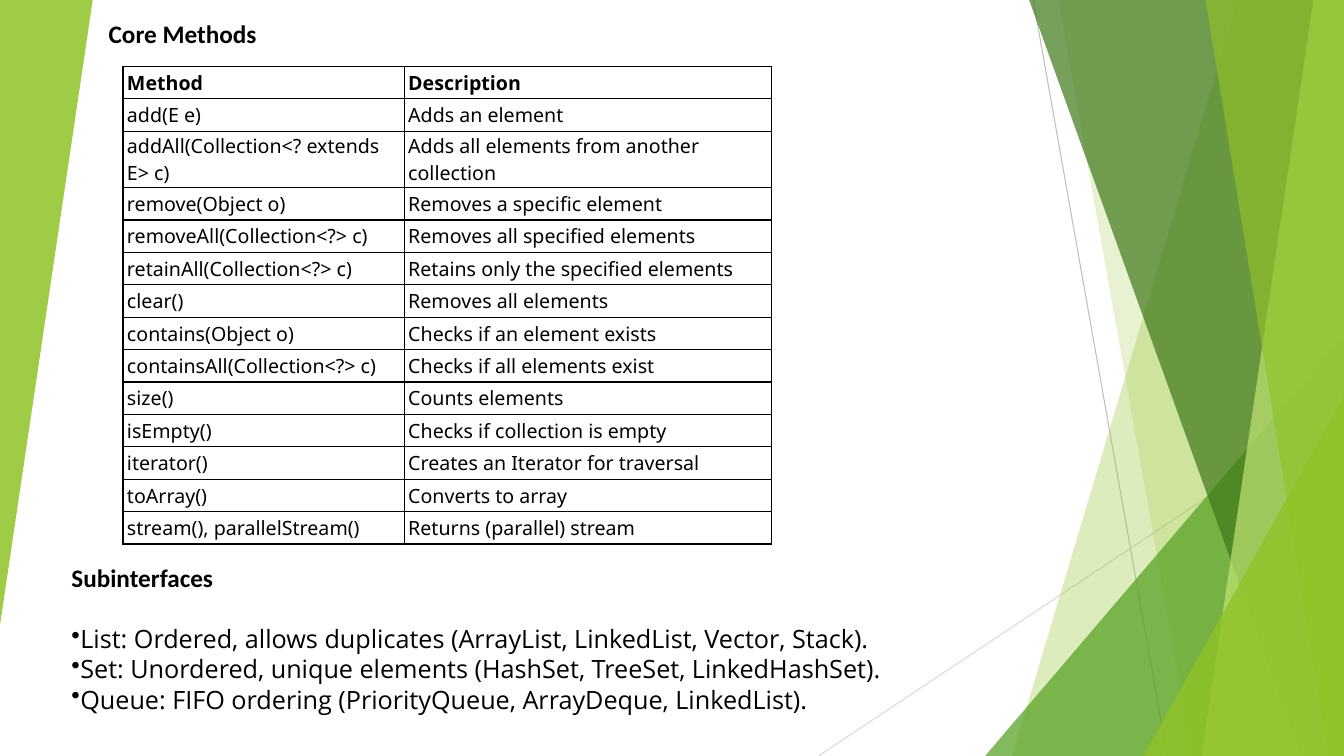
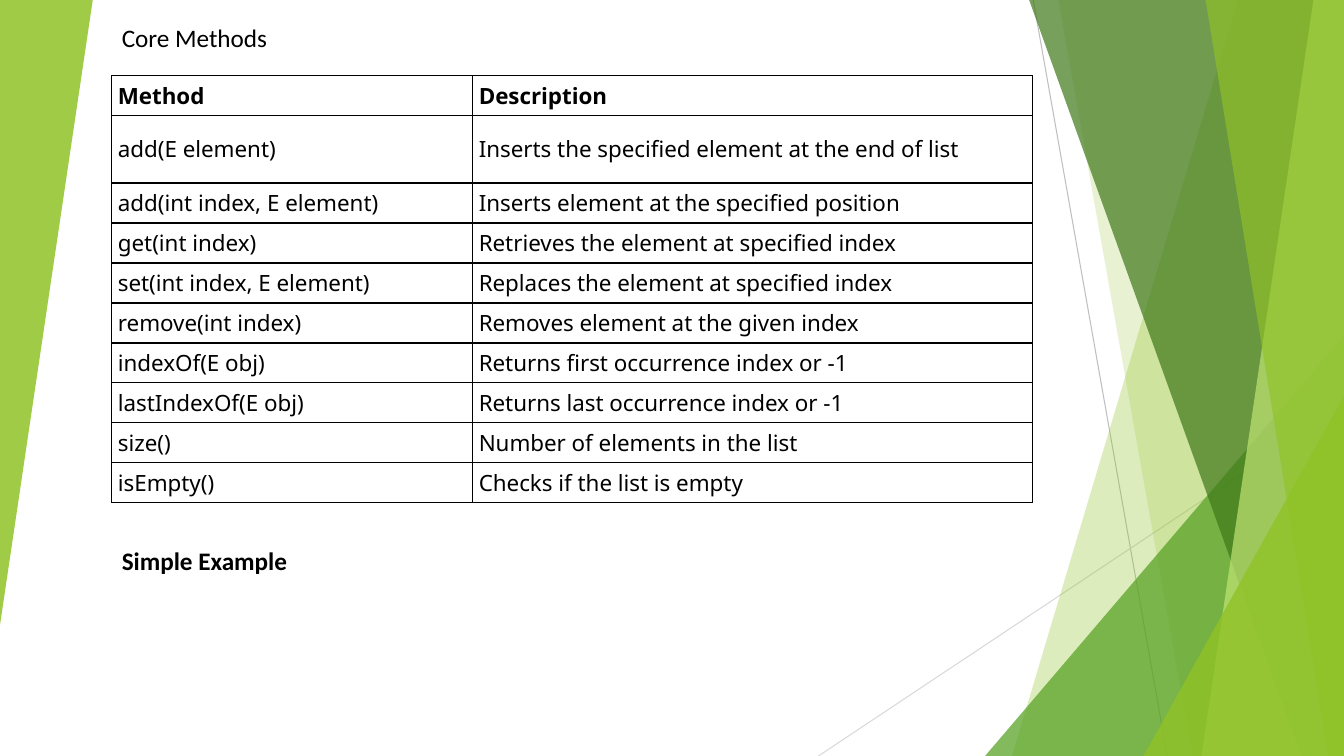
from lxml import etree
from pptx import Presentation
from pptx.dml.color import RGBColor
from pptx.enum.shapes import MSO_CONNECTOR, MSO_SHAPE
from pptx.enum.text import MSO_ANCHOR
from pptx.oxml.ns import qn
from pptx.util import Inches, Pt

STRAIGHT = MSO_CONNECTOR.STRAIGHT
TRIANGLE = MSO_SHAPE.ISOSCELES_TRIANGLE
MIDDLE = MSO_ANCHOR.MIDDLE

BLACK = RGBColor(0x00, 0x00, 0x00)
SILVER = RGBColor(0xBF, 0xBF, 0xBF)
PALE_GREY = RGBColor(0xD9, 0xD9, 0xD9)
LIME = RGBColor(0x90, 0xC2, 0x26)
LEAF = RGBColor(0x54, 0xA0, 0x21)
FOREST = RGBColor(0x3F, 0x78, 0x19)
MINT = RGBColor(0xC0, 0xE4, 0x74)

# Grid: every column and row is a tenth of an inch
UNIT = Inches(0.1)
COLUMNS, ROWS = 133.33, 75

HEADING = {"name": "Calibri", "size": Pt(18), "bold": True}
PLAIN_HEADING = {**HEADING, "bold": False}
BULLET = {"name": "Open Sans", "size": Pt(18), "bold": False}
BULLET_SPACING = {"line_spacing": Pt(21.6)}
HEADING_GAP = {"space_after": Pt(22)}

COLLECTION_METHODS = [
    ("Method", "Description"),
    ("add(E e)", "Adds an element"),
    ("addAll(Collection<? extends E> c)", "Adds all elements from another collection"),
    ("remove(Object o)", "Removes a specific element"),
    ("removeAll(Collection<?> c)", "Removes all specified elements"),
    ("retainAll(Collection<?> c)", "Retains only the specified elements"),
    ("clear()", "Removes all elements"),
    ("contains(Object o)", "Checks if an element exists"),
    ("containsAll(Collection<?> c)", "Checks if all elements exist"),
    ("size()", "Counts elements"),
    ("isEmpty()", "Checks if collection is empty"),
    ("iterator()", "Creates an Iterator for traversal"),
    ("toArray()", "Converts to array"),
    ("stream(), parallelStream()", "Returns (parallel) stream"),
]
SUBINTERFACES = [
    "List: Ordered, allows duplicates (ArrayList, LinkedList, Vector, Stack).",
    "Set: Unordered, unique elements (HashSet, TreeSet, LinkedHashSet).",
    "Queue: FIFO ordering (PriorityQueue, ArrayDeque, LinkedList).",
]
LIST_METHODS = [
    ("Method", "Description"),
    ("add(E element)", "Inserts the specified element at the end of list"),
    ("add(int index, E element)", "Inserts element at the specified position"),
    ("get(int index)", "Retrieves the element at specified index"),
    ("set(int index, E element)", "Replaces the element at specified index"),
    ("remove(int index)", "Removes element at the given index"),
    ("indexOf(E obj)", "Returns first occurrence index or -1"),
    ("lastIndexOf(E obj)", "Returns last occurrence index or -1"),
    ("size()", "Number of elements in the list"),
    ("isEmpty()", "Checks if the list is empty"),
]


def grid(*lengths):
    return [round(length * UNIT) for length in lengths]


def apply(target, formats):
    for attribute, value in formats.items():
        setattr(target, attribute, value)


# Backdrop parts
def paint(shape, colour, opacity):
    shape.shadow.inherit = False
    shape.line.fill.background()
    shape.fill.solid()
    shape.fill.fore_color.rgb = colour
    tint = shape.element.spPr.find(".//" + qn("a:srgbClr"))
    etree.SubElement(tint, qn("a:alpha")).set("val", str(opacity * 1000))


def add_ray(slide, start, end, colour):
    ray = slide.shapes.add_connector(STRAIGHT, *grid(*start, *end))
    ray.line.color.rgb = colour
    ray.line.width = Pt(0.75)
    etree.SubElement(ray.element.spPr, qn("a:effectLst"))


def add_band(slide, top_edge, bottom_edge, colour, opacity):
    """Full-height band from a slanted left edge to the right side."""
    outline = slide.shapes.build_freeform(*grid(top_edge, 0))
    corners = [(COLUMNS, 0), (COLUMNS, ROWS), (bottom_edge, ROWS)]
    outline.add_line_segments([grid(*corner) for corner in corners], close=True)
    paint(outline.convert_to_shape(), colour, opacity)


def add_wedge(slide, box, colour, opacity, rotation=0):
    wedge = slide.shapes.add_shape(TRIANGLE, *grid(*box))
    wedge.adjustments[0] = 1
    wedge.rotation = rotation
    paint(wedge, colour, opacity)


def add_corner_wedge(slide, width, height, colour, opacity):
    box = (COLUMNS - width, ROWS - height, width, height)
    add_wedge(slide, box, colour, opacity)


def add_backdrop(slide):
    add_ray(slide, (102.5, 0), (115.8, ROWS), SILVER)
    add_ray(slide, (COLUMNS, 40.3), (81.2, ROWS), PALE_GREY)
    add_band(slide, 122.8, 100.4, LIME, 30)
    add_band(slide, 105, 118.3, LIME, 20)
    add_corner_wedge(slide, 35.6, 41.7, LEAF, 72)
    add_band(slide, 102.1, 129.1, FOREST, 70)
    add_band(slide, 130.3, 119.2, MINT, 70)
    add_band(slide, 119.6, 131.8, LIME, 65)
    add_corner_wedge(slide, 19.9, 35.7, LIME, 80)
    add_wedge(slide, (0, 0, 9.2, 62), LIME, 85, rotation=180)


# Text
def write(paragraph, text, font, spacing=None):
    run = paragraph.add_run()
    run.text = text
    apply(run.font, font)
    run.font.color.rgb = BLACK
    apply(paragraph, spacing or {})


def add_text(slide, box, heading, font=HEADING, bullets=()):
    frame = slide.shapes.add_textbox(*grid(*box)).text_frame
    frame.word_wrap = True
    write(frame.paragraphs[0], heading, font, HEADING_GAP if bullets else None)
    for bullet in bullets:
        paragraph = frame.add_paragraph()
        write(paragraph, bullet, BULLET, BULLET_SPACING)
        marker = etree.SubElement(paragraph._p.get_or_add_pPr(), qn("a:buChar"))
        marker.set("char", "•")


# Method table
def add_borders(cell):
    properties = cell._tc.get_or_add_tcPr()
    for side in ("lnL", "lnR", "lnT", "lnB"):
        border = etree.SubElement(properties, qn(f"a:{side}"), w=str(Pt(1)))
        ink = etree.SubElement(border, qn("a:solidFill"))
        etree.SubElement(ink, qn("a:srgbClr"), val=str(BLACK))


def add_method_table(slide, box, methods, name_width, tall, size, insets):
    """tall is the (index, height) of the one row that differs."""
    left, top, width, height = box
    table = slide.shapes.add_table(len(methods), 2, *grid(*box)).table
    apply(table, {"first_row": False, "horz_banding": False})
    for column, share in zip(table.columns, (name_width, width - name_width)):
        column.width, = grid(share)

    tall_index, tall_height = tall
    usual_height = (height - tall_height) / (len(methods) - 1)
    side, vertical = grid(*insets)
    cell_format = {
        "margin_left": side, "margin_right": side,
        "margin_top": vertical, "margin_bottom": vertical,
        "vertical_anchor": MIDDLE,
    }
    for r, method in enumerate(methods):
        table.rows[r].height, = grid(tall_height if r == tall_index else usual_height)
        font = {"name": "Noto Sans", "size": size, "bold": r == 0}
        for c, text in enumerate(method):
            cell = table.cell(r, c)
            apply(cell, cell_format)
            add_borders(cell)
            cell.fill.background()
            write(cell.text_frame.paragraphs[0], text, font)


# Slides
def collection_slide(slide):
    add_text(slide, (9.8, 1.3, 66.7, 4), "Core Methods")
    add_method_table(slide, (12.2, 6.6, 64.3, 47.4), COLLECTION_METHODS,
                     name_width=27.9, tall=(2, 5.6), size=Pt(14), insets=(0.4, 0.1))
    add_text(slide, (6.1, 55.3, 93.5, 16.2), "Subinterfaces", bullets=SUBINTERFACES)


def list_slide(slide):
    add_text(slide, (11.1, 1.7, 92.6, 4), "Core Methods", PLAIN_HEADING)
    add_method_table(slide, (11.1, 7.5, 91.3, 42.4), LIST_METHODS,
                     name_width=35.8, tall=(1, 6.7), size=Pt(16), insets=(0.6, 0.4))
    add_text(slide, (11.1, 53.6, 91.3, 4), "Simple Example")


def main():
    deck = Presentation()
    deck.slide_width, deck.slide_height = grid(COLUMNS, ROWS)
    blank = deck.slide_layouts[6]
    for fill_slide in (collection_slide, list_slide):
        slide = deck.slides.add_slide(blank)
        add_backdrop(slide)
        fill_slide(slide)
    deck.save("out.pptx")


if __name__ == "__main__":
    main()
